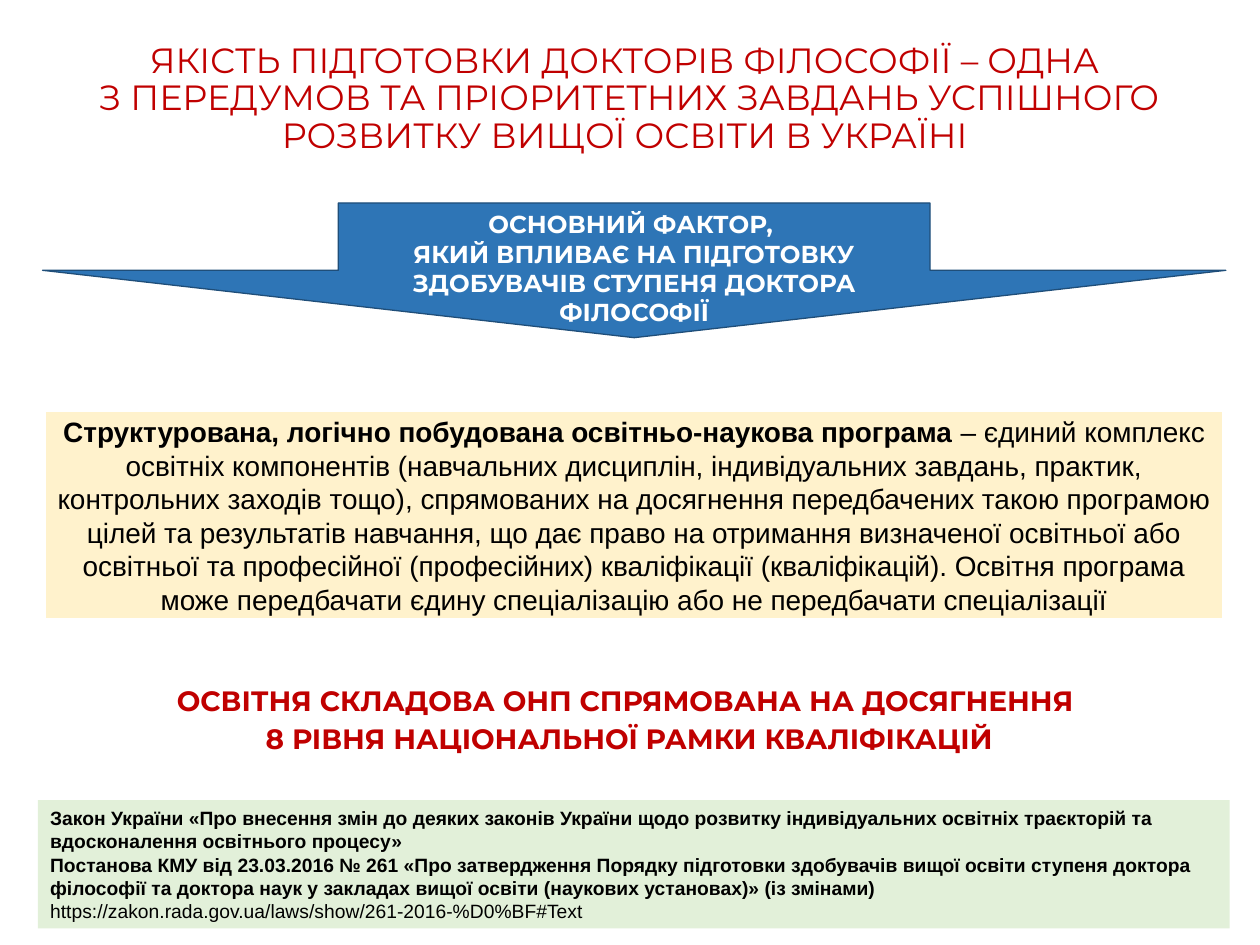
from pptx import Presentation
from pptx import util as u
from pptx.dml import color
from pptx.enum import shapes, text

RED = "C00000"
BLACK = "000000"
WHITE = "FFFFFF"


def rgb(value):
    return color.RGBColor.from_string(value)


def add_run(paragraph, content, font="Arial", size=16, fill=BLACK, bold=False):
    run = paragraph.add_run()
    run.text = content
    run.font.name = font
    run.font.size = u.Pt(size)
    run.font.color.rgb = rgb(fill)
    run.font.bold = bold


class SlideBuilder:
    heading_font = "Montserrat"
    align = text.PP_ALIGN.CENTER

    def __init__(self, presentation):
        self.slide = presentation.slides.add_slide(presentation.slide_layouts[5])

    def fill_text(self, shape, paragraphs, align=None, spacing=1.0,
                  anchor=text.MSO_ANCHOR.MIDDLE, **style):
        frame = shape.text_frame
        frame.word_wrap = True
        frame.auto_size = text.MSO_AUTO_SIZE.NONE
        frame.vertical_anchor = anchor
        for index, runs in enumerate(paragraphs):
            paragraph = frame.add_paragraph() if index else frame.paragraphs[0]
            paragraph.alignment = align or self.align
            paragraph.line_spacing = spacing
            paragraph.space_before = u.Pt(0)
            for content, bold in runs:
                add_run(paragraph, content, bold=bold, **style)

    def title(self, box, paragraphs, **style):
        title = self.slide.shapes.title
        title.left, title.top, title.width, title.height = map(u.Pt, box)
        title.fill.solid()
        title.fill.fore_color.rgb = rgb(WHITE)
        self.fill_text(title, paragraphs, font=self.heading_font, **style)

    def block(self, box, paragraphs, background, line=None, line_width=4.5,
              kind=shapes.MSO_SHAPE.RECTANGLE, **style):
        shape = self.slide.shapes.add_shape(kind, *map(u.Pt, box))
        shape.shadow.inherit = False
        shape.fill.solid()
        shape.fill.fore_color.rgb = rgb(background)
        if line:
            shape.line.color.rgb = rgb(line)
            shape.line.width = u.Pt(line_width)
        else:
            shape.line.fill.background()
        self.fill_text(shape, paragraphs, **style)


def main():
    presentation = Presentation()
    presentation.slide_width, presentation.slide_height = u.Pt(720), u.Pt(540)
    builder = SlideBuilder(presentation)
    heading = builder.heading_font

    builder.title((17.3, 20.9, 684.7, 72), [
        [("ЯКІСТЬ ПІДГОТОВКИ ДОКТОРІВ ФІЛОСОФІЇ – ОДНА ", False)],
        [("З ПЕРЕДУМОВ ТА ПРІОРИТЕТНИХ ЗАВДАНЬ УСПІШНОГО РОЗВИТКУ ВИЩОЇ ОСВІТИ В УКРАЇНІ ", False)],
    ], size=20, fill=RED, spacing=0.9)

    builder.block((24.3, 116, 676.2, 77), [
        [("ОСНОВНИЙ ФАКТОР, ", True)],
        [("ЯКИЙ ВПЛИВАЄ НА ПІДГОТОВКУ ЗДОБУВАЧІВ СТУПЕНЯ ДОКТОРА ФІЛОСОФІЇ", True)],
    ], "2E75B6", line="1F4E79", line_width=0.75, kind=shapes.MSO_SHAPE.DOWN_ARROW,
        font=heading, size=14, fill=WHITE, anchor=text.MSO_ANCHOR.TOP)

    builder.block((24.3, 233.3, 676.2, 122.4), [[
        ("Структурована, логічно побудована освітньо-наукова програма", True),
        (" – єдиний комплекс освітніх компонентів (навчальних дисциплін, індивідуальних "
         "завдань, практик, контрольних заходів тощо), спрямованих на досягнення передбачених "
         "такою програмою цілей та результатів навчання, що дає право на отримання визначеної "
         "освітньої або освітньої та професійної (професійних) кваліфікації (кваліфікацій). "
         "Освітня програма може передбачати єдину спеціалізацію або не передбачати "
         "спеціалізації", False),
    ]], "FFF2CC", line=WHITE)

    builder.block((21.6, 383.8, 676.2, 51.8), [
        [("ОСВІТНЯ СКЛАДОВА ОНП СПРЯМОВАНА НА ДОСЯГНЕННЯ ", True)],
        [("8 РІВНЯ НАЦІОНАЛЬНОЇ РАМКИ КВАЛІФІКАЦІЙ", True)],
    ], WHITE, line=WHITE, font=heading, fill=RED, spacing=1.15)

    builder.block((21.6, 457.2, 681.1, 73.4), [
        [("Закон України «Про внесення змін до деяких законів України щодо розвитку "
          "індивідуальних освітніх траєкторій та вдосконалення освітнього процесу»", True)],
        [("Постанова КМУ від 23.03.2016 № 261 «Про затвердження Порядку підготовки здобувачів "
          "вищої освіти ступеня доктора філософії та доктора наук у закладах вищої освіти "
          "(наукових установах)» (із змінами)", True)],
        [("https://zakon.rada.gov.ua/laws/show/261-2016-%D0%BF#Text", False)],
    ], "E2F0D9", size=11, align=text.PP_ALIGN.LEFT)

    presentation.save("out.pptx")


if __name__ == "__main__":
    main()
